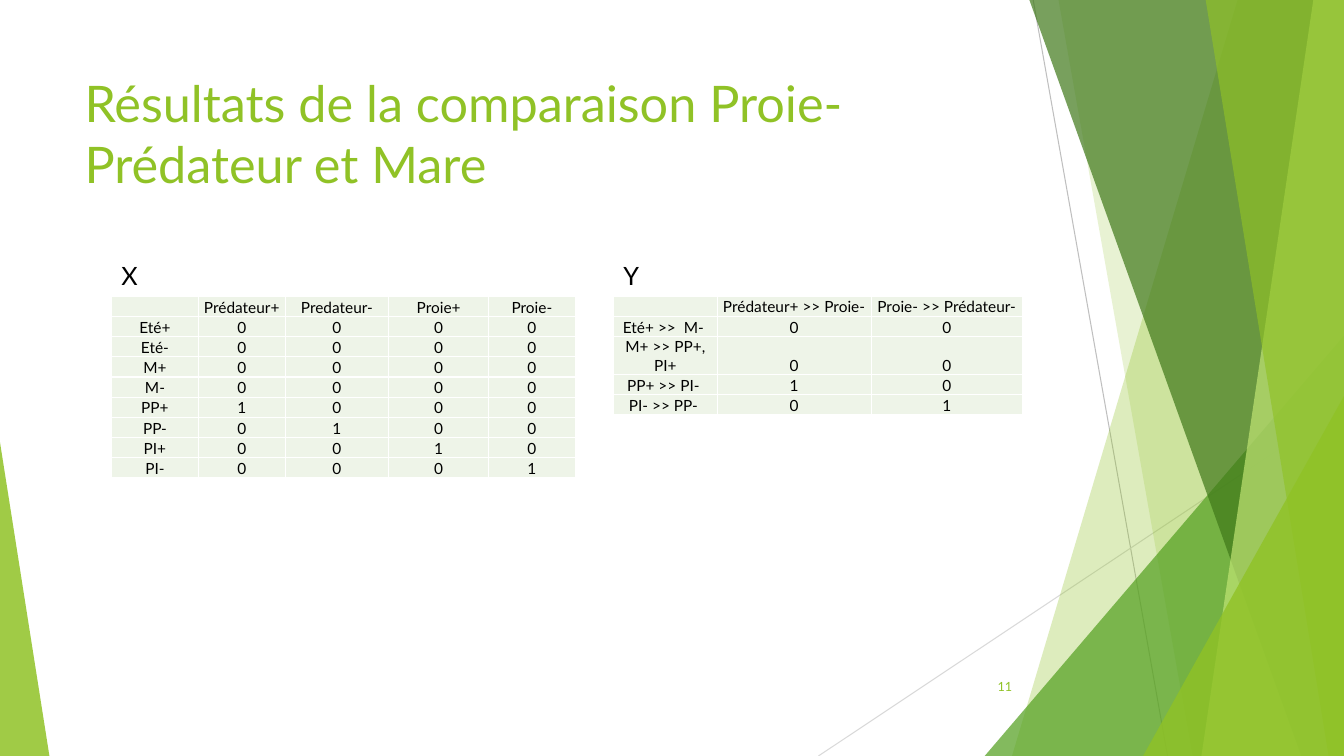
from pptx import Presentation
from pptx.dml.color import RGBColor
from pptx.enum.shapes import MSO_CONNECTOR, MSO_SHAPE
from pptx.enum.text import MSO_ANCHOR, PP_ALIGN
from pptx.oxml.ns import qn
from pptx.util import Pt
from lxml import etree

TRIANGLE = MSO_SHAPE.ISOSCELES_TRIANGLE
STRAIGHT = MSO_CONNECTOR.STRAIGHT
TOP, MIDDLE, BOTTOM = MSO_ANCHOR.TOP, MSO_ANCHOR.MIDDLE, MSO_ANCHOR.BOTTOM
LEFT, CENTER, RIGHT = PP_ALIGN.LEFT, PP_ALIGN.CENTER, PP_ALIGN.RIGHT

WIDTH, HEIGHT = 960, 540
BAND_TOP = -0.6
ROW_HEIGHT = 14.4
CELL_SIZE = 11
FONT = "Lato"
COLORS = {
    "lime": "90C226", "green": "54A021", "dark": "3F7819", "pale": "C0E474",
    "gray": "BFBFBF", "light_gray": "D9D9D9",
    "cell": "EEF4E8", "white": "FFFFFF", "black": "000000",
}

# Bands reach the right edge: top-left x, bottom-left x, colour, opacity
BACK_BANDS = [(884.2, 722.9, "lime", 30), (756, 851.8, "lime", 20)]
FRONT_BANDS = [
    (735.1, 929.5, "dark", 70),
    (938.2, 858.2, "pale", 70),
    (861.1, 949, "lime", 65),
]

X_COLUMNS = ["Prédateur+", "Predateur-", "Proie+", "Proie-"]
X_ROWS = ["Eté+", "Eté-", "M+", "M-", "PP+", "PP-", "PI+", "PI-"]
X_ONES = {("PP+", "Prédateur+"), ("PP-", "Predateur-"),
          ("PI+", "Proie+"), ("PI-", "Proie-")}
Y_COLUMNS = ["Prédateur+ >> Proie-", "Proie- >> Prédateur-"]
Y_ROWS = ["Eté+ >>  M- ", "M+ >> PP+, PI+", "PP+ >> PI- ", "PI- >> PP- "]
Y_ONES = {("PP+ >> PI- ", "Prédateur+ >> Proie-"),
          ("PI- >> PP- ", "Proie- >> Prédateur-")}


def rgb(color):
    return RGBColor.from_string(COLORS[color])


def style_paragraph(paragraph, size, color, align):
    paragraph.alignment = align
    paragraph.font.name = FONT
    paragraph.font.size = Pt(size)
    paragraph.font.color.rgb = rgb(color)


def paint(shape, color, opacity):
    """Give a shape a translucent fill without outline or shadow."""
    shape.shadow.inherit = False
    shape.line.fill.background()
    shape.fill.solid()
    shape.fill.fore_color.rgb = rgb(color)
    fill_color = shape.element.spPr.find(".//" + qn("a:srgbClr"))
    etree.SubElement(fill_color, qn("a:alpha")).set("val", str(opacity * 1000))


def add_band(slide, top_x, bottom_x, color, opacity):
    builder = slide.shapes.build_freeform(Pt(top_x), Pt(BAND_TOP))
    corners = [(WIDTH, BAND_TOP), (WIDTH, HEIGHT), (bottom_x, HEIGHT)]
    builder.add_line_segments([(Pt(x), Pt(y)) for x, y in corners])
    paint(builder.convert_to_shape(), color, opacity)


def add_triangle(slide, left, top, width, apex, color, opacity):
    """Add a triangle that stands on the bottom edge of the slide."""
    shape = slide.shapes.add_shape(
        TRIANGLE, Pt(left), Pt(top), Pt(width), Pt(HEIGHT - top))
    shape.adjustments[0] = apex
    paint(shape, color, opacity)


def add_line(slide, start_x, start_y, end_x, end_y, color):
    line = slide.shapes.add_connector(
        STRAIGHT, Pt(start_x), Pt(start_y), Pt(end_x), Pt(end_y))
    line.line.color.rgb = rgb(color)
    line.line.width = Pt(0.75)
    etree.SubElement(line.element.spPr, qn("a:effectLst"))


def add_text(slide, text, left, top, width, height, size, color,
             align=LEFT, anchor=TOP, wrap=True):
    box = slide.shapes.add_textbox(Pt(left), Pt(top), Pt(width), Pt(height))
    frame = box.text_frame
    frame.word_wrap = wrap
    frame.vertical_anchor = anchor
    frame.text = text
    style_paragraph(frame.paragraphs[0], size, color, align)


def add_borders(cell):
    properties = cell._tc.get_or_add_tcPr()
    for side in ("a:lnL", "a:lnR", "a:lnT", "a:lnB"):
        border = etree.SubElement(properties, qn(side), w=str(Pt(1)))
        fill = etree.SubElement(border, qn("a:solidFill"))
        etree.SubElement(fill, qn("a:srgbClr"), val=COLORS["white"])


def fill_cell(cell, text, anchor):
    add_borders(cell)
    cell.fill.solid()
    cell.fill.fore_color.rgb = rgb("cell")
    cell.margin_left = cell.margin_right = cell.margin_top = Pt(0.7)
    cell.margin_bottom = 0
    cell.vertical_anchor = anchor
    cell.text = text
    paragraph = cell.text_frame.paragraphs[0]
    style_paragraph(paragraph, CELL_SIZE, "black", CENTER)
    if not text:  # an empty cell takes its line height from the end mark
        etree.SubElement(paragraph._p, qn("a:endParaRPr"),
                         sz=str(CELL_SIZE * 100))


def add_matrix(slide, label, left, widths, columns, rows, ones, header_anchor):
    """Add a labelled 0/1 table; ones holds the (row, column) pairs set to 1."""
    grid = [[""] + columns]
    for row in rows:
        grid.append([row] + ["1" if (row, column) in ones else "0"
                             for column in columns])
    table = slide.shapes.add_table(
        len(grid), len(widths), Pt(left), Pt(211.7),
        Pt(sum(widths)), Pt(ROW_HEIGHT * len(grid))).table
    table.first_row = table.horz_banding = False
    for column, width in zip(table.columns, widths):
        column.width = Pt(width)
    for row_index, values in enumerate(grid):
        table.rows[row_index].height = Pt(ROW_HEIGHT)
        anchor = BOTTOM if row_index else header_anchor
        for column_index, value in enumerate(values):
            fill_cell(table.cell(row_index, column_index), value, anchor)
    add_text(slide, label, left, 182.2, 25, 29, 18, "black", wrap=False)


def main():
    presentation = Presentation()
    presentation.slide_width, presentation.slide_height = Pt(WIDTH), Pt(HEIGHT)
    slide = presentation.slides.add_slide(presentation.slide_layouts[6])

    # Background decoration
    add_line(slide, 738, 0, 834, HEIGHT, "gray")
    add_line(slide, WIDTH, 290, 584.6, HEIGHT, "light_gray")
    for band in BACK_BANDS:
        add_band(slide, *band)
    add_triangle(slide, 703.4, 239.8, 256.6, 1, "green", 72)
    for band in FRONT_BANDS:
        add_band(slide, *band)
    add_triangle(slide, 816.5, 283, 143.5, 1, "lime", 80)
    add_triangle(slide, 0, 316, 35.3, 0, "lime", 85)

    # Title and page number
    add_text(slide, "Résultats de la comparaison Proie-Prédateur et Mare",
             53.3, 48.2, 677, 104, 36, "lime")
    add_text(slide, "11", 676, 476, 54, 28.8, 9, "lime", RIGHT, MIDDLE)

    # Comparison tables
    add_matrix(slide, "X", 79.7, [62, 62, 74, 71.3, 62],
               X_COLUMNS, X_ROWS, X_ONES, BOTTOM)
    add_matrix(slide, "Y", 438.3, [74, 110, 108],
               Y_COLUMNS, Y_ROWS, Y_ONES, MIDDLE)

    presentation.save("out.pptx")


main()
